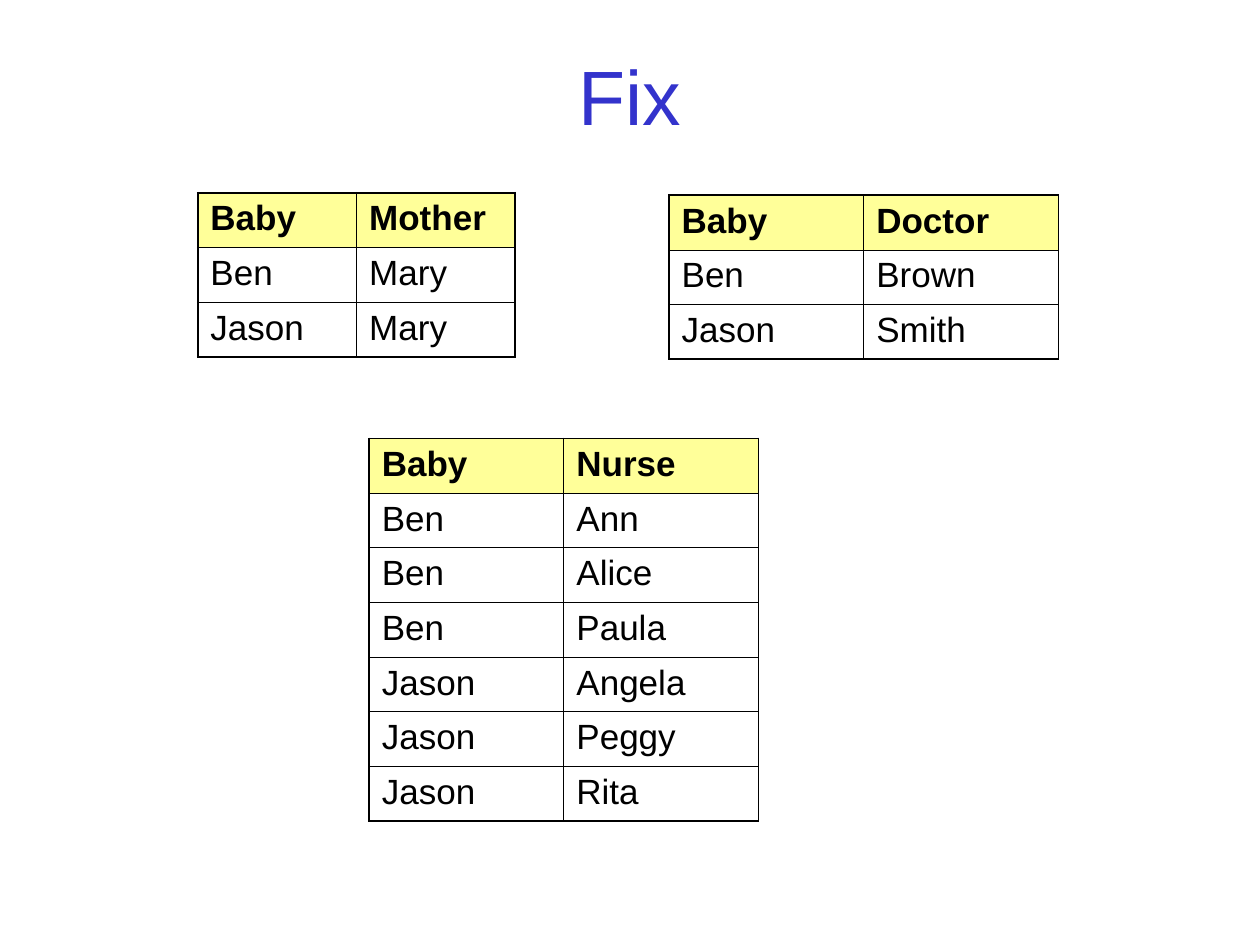
from lxml.etree import SubElement
from pptx import Presentation
from pptx.dml.color import RGBColor
from pptx.enum.text import MSO_ANCHOR, PP_ALIGN
from pptx.oxml.ns import qn
from pptx.util import Inches, Pt

SLIDE_W, SLIDE_H = 10, 7.5
ROW_H = 1.3 / 3
FONT = "Arial"
BLACK, BLUE, YELLOW = "000000", "3333CC", "FFFF99"
OUTER, INNER = 1.08, 0.45

MOTHERS = [("Baby", "Mother"), ("Ben", "Mary"), ("Jason", "Mary")]
DOCTORS = [("Baby", "Doctor"), ("Ben", "Brown"), ("Jason", "Smith")]
NURSES = [("Baby", "Nurse"),
          ("Ben", "Ann"), ("Ben", "Alice"), ("Ben", "Paula"),
          ("Jason", "Angela"), ("Jason", "Peggy"), ("Jason", "Rita")]


def rgb(color):
    return RGBColor.from_string(color)


def add_run(p, text, size, color, bold=False):
    r = p.add_run()
    r.text = text
    r.font.name = FONT
    r.font.size = Pt(size)
    r.font.bold = bold
    r.font.color.rgb = rgb(color)


def add_title(s, text):
    sp = s.shapes.add_textbox(Inches(0.075 * SLIDE_W), Inches(SLIDE_H / 30),
                              Inches(0.85 * SLIDE_W), Inches(SLIDE_H / 7.5))
    tf = sp.text_frame
    tf.word_wrap = True
    tf.vertical_anchor = MSO_ANCHOR.MIDDLE
    p = tf.paragraphs[0]
    p.alignment = PP_ALIGN.CENTER
    add_run(p, text, 44, BLUE)


def set_border(cell, side, width):
    """Draw one side ("L", "R", "T" or "B"); call in that order, before the fill."""
    ln = SubElement(cell._tc.get_or_add_tcPr(), qn(f"a:ln{side}"), w=str(Pt(width)))
    fill = SubElement(ln, qn("a:solidFill"))
    SubElement(fill, qn("a:srgbClr"), val=BLACK)


def fill_cell(cell, text, header, outer_sides):
    for side in "LRTB":
        set_border(cell, side, OUTER if side in outer_sides else INNER)
    if header:
        cell.fill.solid()
        cell.fill.fore_color.rgb = rgb(YELLOW)
    else:
        cell.fill.background()
    add_run(cell.text_frame.paragraphs[0], text, 20, BLACK, bold=header)


def add_relation(s, left, top, col_w, rows):
    """Add a two-column table with a header row and a heavier outer frame."""
    n_rows, n_cols = len(rows), len(rows[0])
    table = s.shapes.add_table(n_rows, n_cols, Inches(left), Inches(top),
                               Inches(n_cols * col_w), Inches(n_rows * ROW_H)).table
    table.horz_banding = False
    for i, row in enumerate(rows):
        for j, text in enumerate(row):
            edges = {"L": j == 0, "R": j == n_cols - 1,
                     "T": i == 0, "B": i == n_rows - 1}
            outer_sides = [side for side, on_edge in edges.items() if on_edge]
            fill_cell(table.cell(i, j), text, i == 0, outer_sides)


def main():
    prs = Presentation()
    prs.slide_width, prs.slide_height = Inches(SLIDE_W), Inches(SLIDE_H)
    s = prs.slides.add_slide(prs.slide_layouts[6])
    add_title(s, "Fix")
    add_relation(s, 1.57, 1.53, 1.26, MOTHERS)
    add_relation(s, 5.31, 1.55, 1.545, DOCTORS)
    add_relation(s, 2.93, 3.48, 1.545, NURSES)
    prs.save("out.pptx")


if __name__ == "__main__":
    main()
